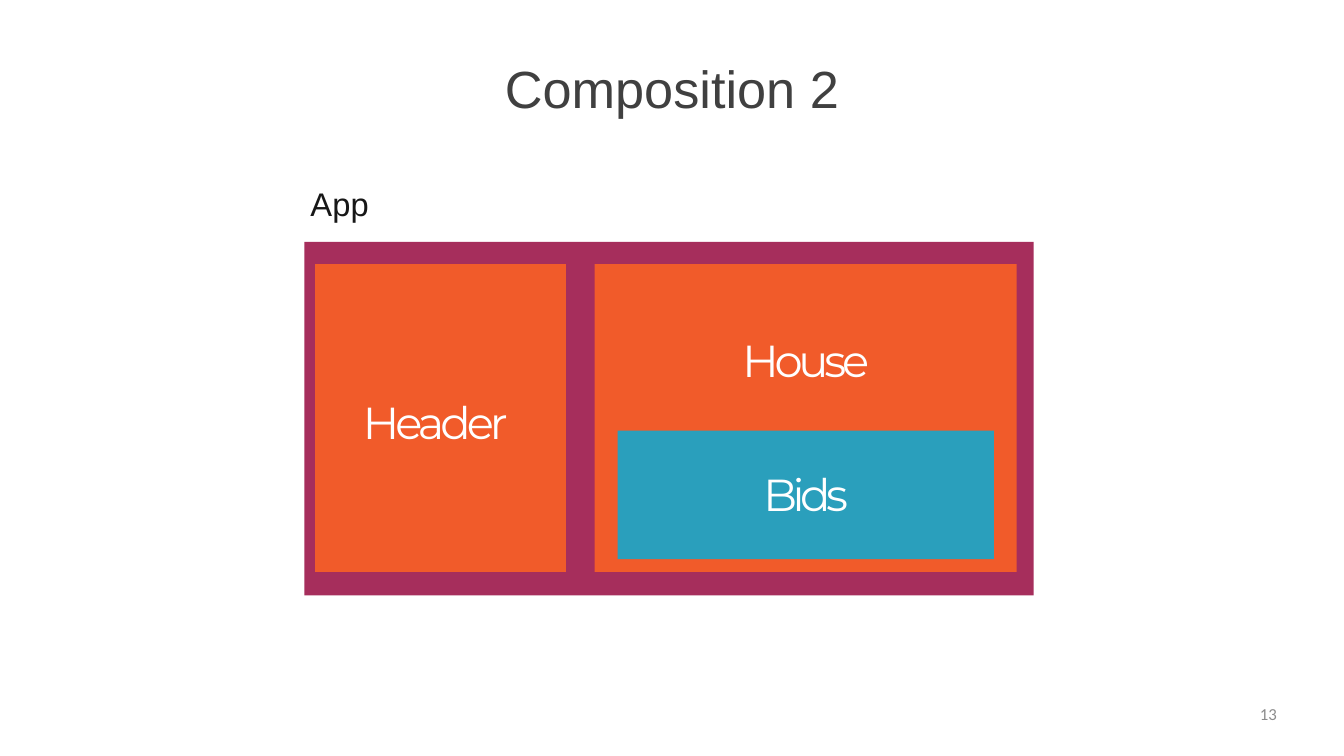
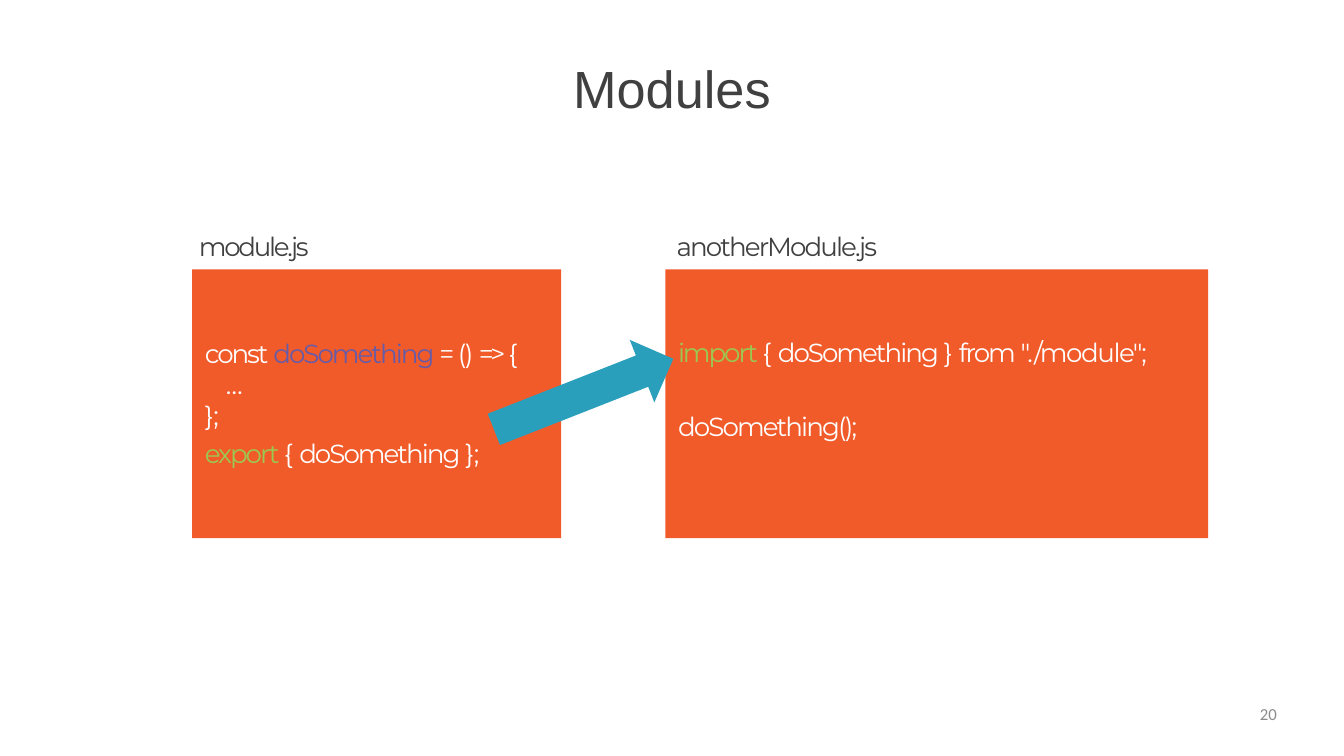
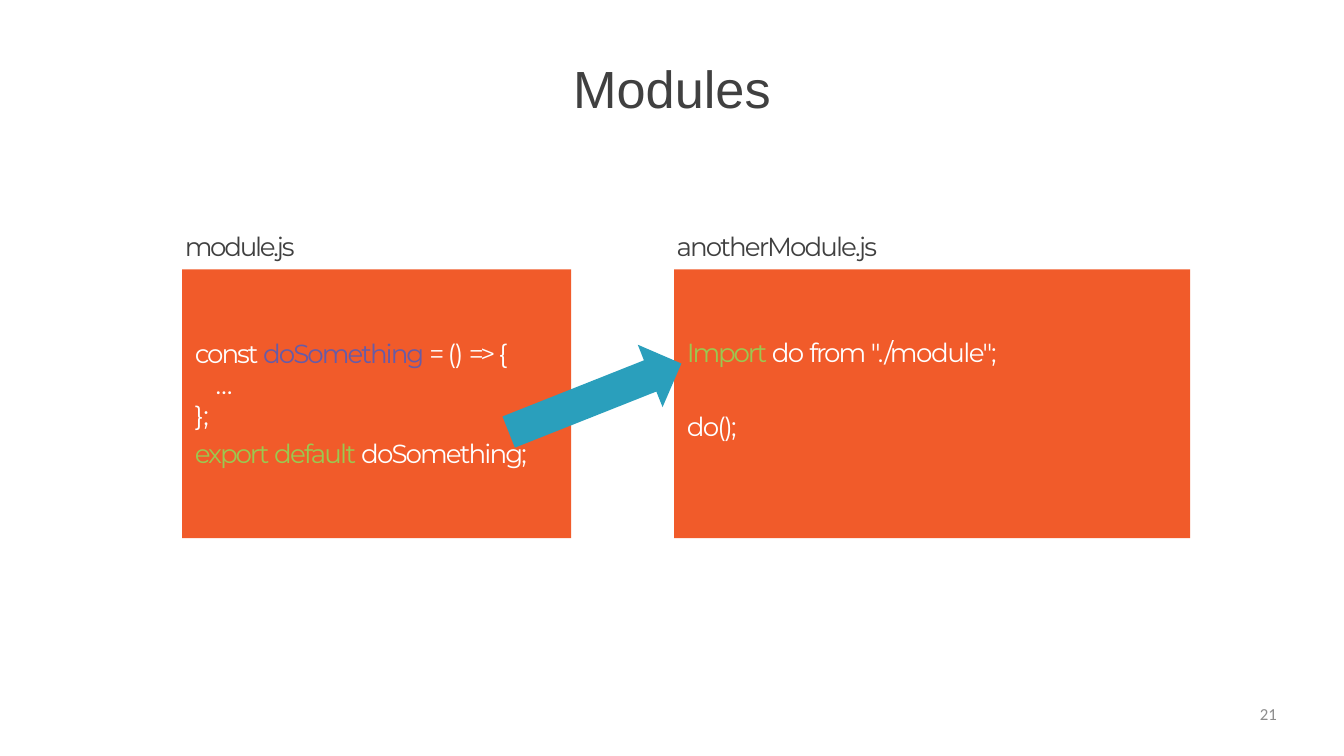
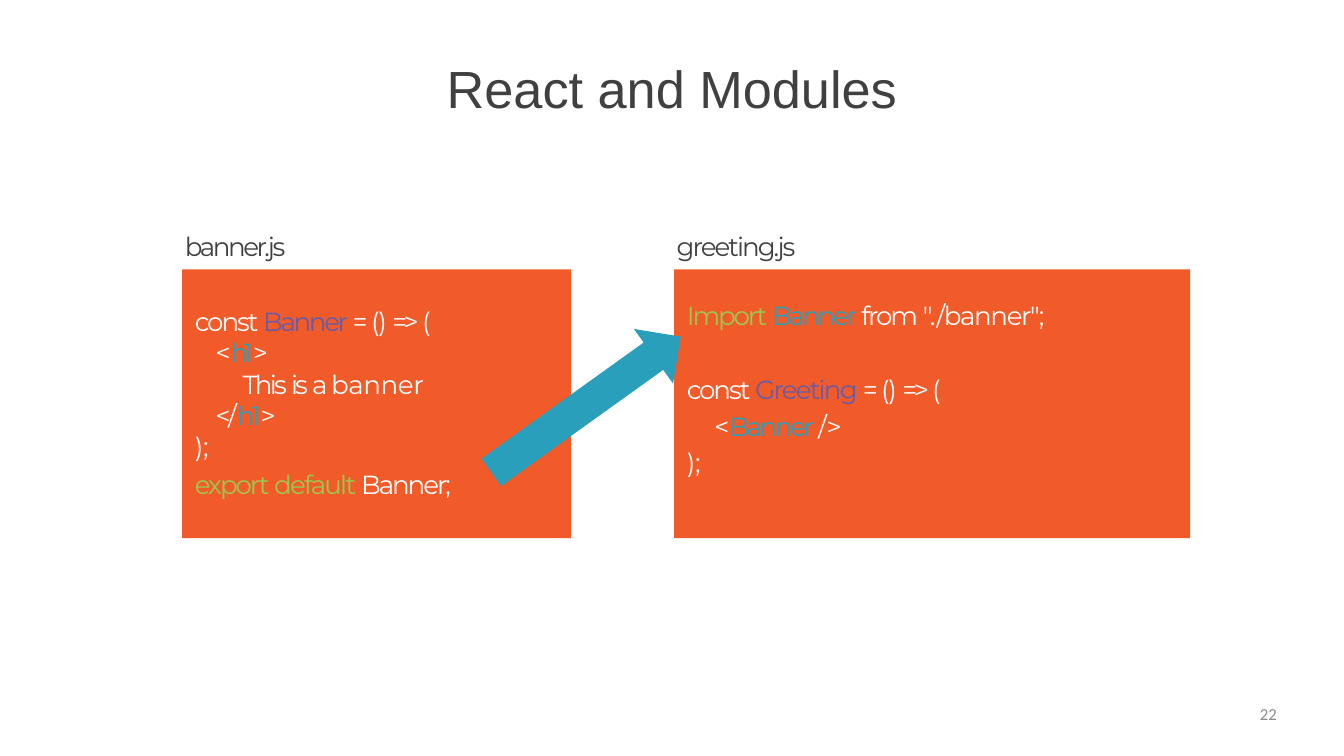
from collections import namedtuple
from math import hypot

from pptx import Presentation
from pptx.dml.color import RGBColor
from pptx.enum.shapes import MSO_SHAPE
from pptx.enum.text import MSO_ANCHOR, PP_ALIGN
from pptx.util import Inches, Pt

COLORS = {
    "title": "404040",
    "caption": "171717",
    "number": "8C8C8C",
    "app": "A62E5C",
    "component": "F15B2A",
    "accent": "2A9FBC",
    "plain": "FFFFFF",
    "name": "675BA7",
    "keyword": "9BC850",
}
CODE_FONT = "Montserrat"
CODE_SIZE = 28
PANEL_TOP = 4.01
PANEL_HEIGHT = 4.0
CODE_MARGIN = 0.19

# A token is (text, colour, letter spacing); a line holds tokens.
Line = namedtuple("Line", "tokens indent before exact", defaults=(0, 0, False))
# A panel is one source file: label and code blocks, each (top, lines).
Panel = namedtuple("Panel", "left width label label_left label_spacing blocks")


def rgb(color):
    return RGBColor.from_string(COLORS[color])


def format_run(run, font, size, color, spacing=0):
    run.font.name = font
    run.font.size = Pt(size)
    run.font.color.rgb = rgb(color)
    if spacing:
        run._r.get_or_add_rPr().set("spc", str(round(spacing * 100)))


def set_insets(frame, left=0, top=0):
    frame.word_wrap = True
    frame.vertical_anchor = MSO_ANCHOR.TOP
    frame.margin_left, frame.margin_top = Inches(left), Inches(top)
    frame.margin_right = frame.margin_bottom = 0


def add_frame(slide, left, top, width, height):
    box = slide.shapes.add_textbox(Inches(left), Inches(top), Inches(width), Inches(height))
    set_insets(box.text_frame, top=0.01)
    return box.text_frame


def add_label(slide, text, at, font, size, color, spacing=0, align=PP_ALIGN.LEFT):
    paragraph = add_frame(slide, *at).paragraphs[0]
    paragraph.text = text
    paragraph.alignment = align
    format_run(paragraph.runs[0], font, size, color, spacing)


def paint(shape, color):
    shape.shadow.inherit = False
    shape.fill.solid()
    shape.fill.fore_color.rgb = rgb(color)
    shape.line.fill.background()


def add_block(slide, left, top, width, height, color):
    block = slide.shapes.add_shape(
        MSO_SHAPE.RECTANGLE, Inches(left), Inches(top), Inches(width), Inches(height))
    paint(block, color)
    return block


def add_component(slide, name, at, color, spacing, inset_top, inset_left=0,
                  align=PP_ALIGN.CENTER):
    frame = add_block(slide, *at, color).text_frame
    set_insets(frame, inset_left, inset_top)
    frame.text = name
    frame.paragraphs[0].alignment = align
    format_run(frame.paragraphs[0].runs[0], CODE_FONT, 48, "plain", spacing)


def add_code(slide, left, top, width, lines):
    frame = add_frame(slide, left, top, width, 0.49 * len(lines))
    for index, line in enumerate(lines):
        paragraph = frame.add_paragraph() if index else frame.paragraphs[0]
        if line.indent:
            paragraph._p.get_or_add_pPr().set("marL", str(Inches(line.indent)))
        if line.before:
            paragraph.space_before = Pt(line.before)
        if line.exact:
            paragraph.line_spacing = Pt(33.2)
        for text, color, spacing in line.tokens:
            run = paragraph.add_run()
            run.text = text
            format_run(run, CODE_FONT, CODE_SIZE, color, spacing)


def add_block_arrow(slide, tail, tip, shaft=0.5, head=1.0, head_length=0.5):
    """Draw a filled arrow along the line from tail to tip."""
    length = hypot(tip[0] - tail[0], tip[1] - tail[1])
    ux, uy = (tip[0] - tail[0]) / length, (tip[1] - tail[1]) / length
    neck = length - head_length
    outline = [(0, -shaft / 2), (neck, -shaft / 2), (neck, -head / 2), (length, 0),
               (neck, head / 2), (neck, shaft / 2), (0, shaft / 2)]
    points = [(Inches(tail[0] + along * ux - across * uy),
               Inches(tail[1] + along * uy + across * ux)) for along, across in outline]
    builder = slide.shapes.build_freeform(*points[0])
    builder.add_line_segments(points[1:], close=True)
    paint(builder.convert_to_shape(), "accent")


def declaration(name, spacing, bracket, exact=True):
    """First line of an arrow function."""
    return Line([("const ", "plain", -2.2), (name + " ", "name", spacing),
                 ("= ", "plain", -3.7), ("() ", "plain", -1.5),
                 ("=> ", "plain", -3.8), (bracket, "plain", -0.5)], exact=exact)


def export_default(name, spacing):
    return Line([("export ", "keyword", -2.2), ("default ", "keyword", -1.9),
                 (name + ";", "plain", spacing)], before=6.5)


def heading_tag(opening, spacing, before=0):
    return Line([(opening, "plain", spacing), ("h1", "accent", spacing),
                 (">", "plain", spacing)], indent=0.31, before=before, exact=True)


def do_something_body():
    return [declaration("doSomething", -2.1, "{"),
            Line([("…", "plain", -9.2)], indent=0.31, exact=True),
            Line([("};", "plain", -0.2)], before=0.5)]


def add_slide(deck, title, number):
    slide = deck.slides.add_slide(deck.slide_layouts[6])
    add_label(slide, title, (2, 0.82, 16, 0.96), "Arial", 56, "title",
              align=PP_ALIGN.CENTER)
    add_label(slide, str(number), (14.4, 10.46, 4.6, 0.56), "Calibri", 18, "number",
              align=PP_ALIGN.RIGHT)
    return slide


def add_module_slide(deck, title, number, panels, tail, tip):
    slide = add_slide(deck, title, number)
    for panel in panels:
        add_block(slide, panel.left, PANEL_TOP, panel.width, PANEL_HEIGHT, "component")
        for top, lines in panel.blocks:
            add_code(slide, panel.left + CODE_MARGIN, top, panel.width - CODE_MARGIN, lines)
        add_label(slide, panel.label, (panel.label_left, 3.42, 4, 0.49), CODE_FONT,
                  CODE_SIZE, "title", panel.label_spacing)
    add_block_arrow(slide, tail, tip)


def add_composition_slide(deck):
    slide = add_slide(deck, "Composition 2", 13)
    add_block(slide, 4.53, 3.6, 10.85, 5.26, "app")
    add_label(slide, "App", (4.62, 2.73, 2, 0.61), "Arial", 35, "caption", 0.2)
    add_component(slide, "Header", (4.69, 3.93, 3.73, 4.58), "component", -4.2,
                  1.94, 0.71, PP_ALIGN.LEFT)
    add_component(slide, "House", (8.85, 3.93, 6.28, 4.58), "component", -4.5, 1.02)
    add_component(slide, "Bids", (9.19, 6.41, 5.6, 1.91), "accent", -4.8, 0.53)


def main():
    deck = Presentation()
    deck.slide_width, deck.slide_height = Inches(20), Inches(11.25)

    add_composition_slide(deck)

    named_export = Line([("export ", "keyword", -2.2), ("{ ", "plain", -0.5),
                         ("doSomething ", "plain", -2.1), ("};", "plain", -0.2)], before=6.5)
    named_import = Line([("import ", "keyword", -2.2), ("{ ", "plain", -0.5),
                         ("doSomething ", "plain", -2.1), ("} ", "plain", -0.5),
                         ("from ", "plain", -2.2), ('"./module";', "plain", -1.5)])
    add_module_slide(deck, "Modules", 20, [
        Panel(2.86, 5.49, "module.js", 2.96, -2.4,
              [(5.01, do_something_body() + [named_export])]),
        Panel(9.9, 8.08, "anotherModule.js", 10.07, -2,
              [(4.99, [named_import]),
               (6.09, [Line([("doSomething();", "plain", -2)])])]),
    ], tail=(7.35, 6.39), tip=(10.02, 5.34))

    default_import = Line([("Import ", "keyword", -2.3), ("do ", "plain", -1.8),
                           ("from ", "plain", -2.2), ('"./module";', "plain", -1.6)])
    add_module_slide(deck, "Modules", 21, [
        Panel(2.71, 5.79, "module.js", 2.75, -2.4,
              [(5.01, do_something_body() + [export_default("doSomething", -2)])]),
        Panel(10.03, 7.68, "anotherModule.js", 10.07, -2,
              [(4.99, [default_import]),
               (6.09, [Line([("do();", "plain", -1.8)])])]),
    ], tail=(7.57, 6.43), tip=(10.14, 5.41))

    banner_code = [
        declaration("Banner", -2.5, "("),
        heading_tag("<", -4.6),
        Line([("This ", "plain", -2.9), ("is ", "plain", -3), ("a ", "plain", -3.4),
              ("banner", "plain", -0.4)], indent=0.71, before=0.5),
        heading_tag("</", -2.8, before=0.5),
        Line([(");", "plain", -0.2)], exact=True),
        export_default("Banner", -2.2),
    ]
    banner_import = Line([("Import ", "keyword", -2.3), ("Banner ", "accent", -2.5),
                          ("from ", "plain", -2.2), ('"./banner";', "plain", -1.5)])
    greeting_code = [
        declaration("Greeting", -1.9, "(", exact=False),
        Line([("<", "plain", -2.6), ("Banner ", "accent", -2.6), ("/>", "plain", -0.2)],
             indent=0.41, before=6.5),
        Line([(");", "plain", -0.2)], before=5.3),
    ]
    add_module_slide(deck, "React and Modules", 22, [
        Panel(2.71, 5.79, "banner.js", 2.75, -2.6, [(4.54, banner_code)]),
        Panel(10.03, 7.68, "greeting.js", 10.07, -2.1,
              [(4.44, [banner_import]), (5.54, greeting_code)]),
    ], tail=(7.31, 7.03), tip=(10.13, 5.01))

    deck.save("out.pptx")


if __name__ == "__main__":
    main()
